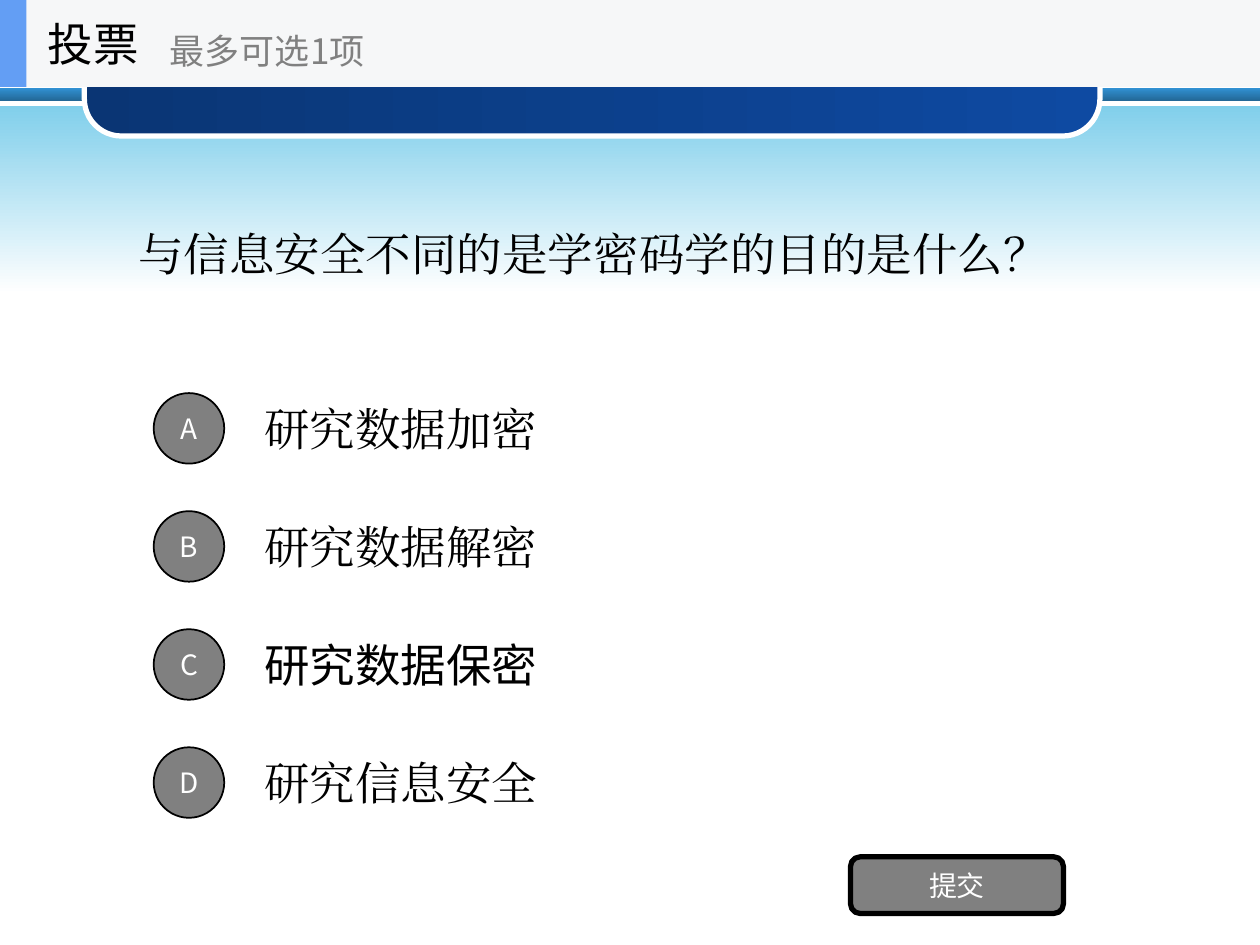
from dataclasses import dataclass
from typing import Optional

from lxml.etree import SubElement
from pptx import Presentation
from pptx.dml.color import RGBColor
from pptx.enum.shapes import MSO_SHAPE
from pptx.enum.text import MSO_ANCHOR, PP_ALIGN
from pptx.oxml.ns import qn
from pptx.util import Inches, Pt

WIDTH, HEIGHT = 10, 7.5
SANS, SERIF = "Noto Sans CJK SC", "Times New Roman"
BLACK, GRAY, WHITE = "000000", "808080", "FFFFFF"
HEADER_HEIGHT = 0.69

# Answer grid: one row per option
FIRST_ROW, ROW_STEP = 3.4, 0.937
BADGE_LEFT, BADGE_SIZE = 1.22, 0.56
ANSWER_LEFT, ANSWER_WIDTH, ANSWER_HEIGHT = 2, 7, 0.7


@dataclass
class Box:
    left: float
    top: float
    width: float
    height: float

    def lengths(self) -> list:
        return [Inches(v) for v in (self.left, self.top, self.width, self.height)]


@dataclass
class Option:
    letter: str
    answer: str
    font: str = SERIF


OPTIONS = [
    Option("A", "研究数据加密"),
    Option("B", "研究数据解密"),
    Option("C", "研究数据保密", SANS),
    Option("D", "研究信息安全"),
]


def color(value: str) -> RGBColor:
    return RGBColor.from_string(value)


def write(shape, text: str, size: float, font: str, ink: str,
          align=PP_ALIGN.LEFT) -> None:
    frame = shape.text_frame
    frame.word_wrap = True
    frame.vertical_anchor = MSO_ANCHOR.MIDDLE
    paragraph = frame.paragraphs[0]
    paragraph.alignment = align
    run = paragraph.add_run()
    run.text = text
    run.font.size = Pt(size)
    run.font.name = font
    run.font.color.rgb = color(ink)
    # Chinese glyphs take the East Asian typeface
    SubElement(run.font._element, qn("a:ea")).set("typeface", font)


def add_text(shapes, box: Box, text: str, size: float, font: str = SANS,
             ink: str = BLACK) -> None:
    write(shapes.add_textbox(*box.lengths()), text, size, font, ink)


def add_panel(shapes, kind, box: Box, fill: str, fill_end: Optional[str] = None,
              angle: float = 0, line: Optional[str] = None,
              line_width: float = 1, corner: Optional[float] = None):
    shape = shapes.add_shape(kind, *box.lengths())
    shape.shadow.inherit = False
    if fill_end:
        shape.fill.gradient()
        shape.fill.gradient_angle = angle
        for stop, position, value in zip(shape.fill.gradient_stops, (0, 1),
                                         (fill, fill_end)):
            stop.position = position
            stop.color.rgb = color(value)
    else:
        shape.fill.solid()
        shape.fill.fore_color.rgb = color(fill)
    if line:
        shape.line.color.rgb = color(line)
        shape.line.width = Pt(line_width)
    else:
        shape.line.fill.background()
    if corner is not None:
        shape.adjustments[0] = corner
    return shape


def add_button(shapes, kind, box: Box, text: str, line_width: float = 1,
               corner: Optional[float] = None) -> None:
    shape = add_panel(shapes, kind, box, GRAY, line=BLACK,
                      line_width=line_width, corner=corner)
    frame = shape.text_frame
    frame.margin_left = frame.margin_right = 0
    write(shape, text, 16, SANS, WHITE, PP_ALIGN.CENTER)


def add_background(shapes) -> None:
    add_panel(shapes, MSO_SHAPE.RECTANGLE, Box(0, 0.7, WIDTH, 0.1),
              "3191D3", "236897", 270)
    add_panel(shapes, MSO_SHAPE.RECTANGLE, Box(0, 0.84, WIDTH, 1.49),
              "81CFEB", WHITE, 270)
    add_panel(shapes, MSO_SHAPE.ROUNDED_RECTANGLE, Box(0.67, 0.38, 8.06, 0.7),
              "0A3574", "0E4AA2", line=WHITE, line_width=3, corner=0.42)


def add_option(shapes, row: int, option: Option) -> None:
    middle = FIRST_ROW + row * ROW_STEP
    add_text(shapes, Box(ANSWER_LEFT, middle - ANSWER_HEIGHT / 2, ANSWER_WIDTH,
                         ANSWER_HEIGHT), option.answer, 26, option.font)
    add_button(shapes, MSO_SHAPE.OVAL,
               Box(BADGE_LEFT, middle - BADGE_SIZE / 2, BADGE_SIZE, BADGE_SIZE),
               option.letter)


def add_header(shapes) -> None:
    group = shapes.add_group_shape().shapes
    add_panel(group, MSO_SHAPE.RECTANGLE, Box(0, 0, WIDTH, HEADER_HEIGHT), "F6F7F8")
    add_panel(group, MSO_SHAPE.RECTANGLE, Box(0, 0, 0.21, HEADER_HEIGHT), "639EF4")
    add_text(group, Box(0.28, 0, 2.08, HEADER_HEIGHT), "投票", 26)
    add_text(shapes, Box(1.25, 0.12, 2.5, 0.56), "最多可选1项", 20, ink=GRAY)


def main() -> None:
    presentation = Presentation()
    presentation.slide_width = Inches(WIDTH)
    presentation.slide_height = Inches(HEIGHT)
    slide = presentation.slides.add_slide(presentation.slide_layouts[6])
    shapes = slide.shapes

    add_background(shapes)

    # Question and answers
    add_text(shapes, Box(1, 1.19, 8, 1.64),
             "与信息安全不同的是学密码学的目的是什么？", 26, SERIF)
    for row, option in enumerate(OPTIONS):
        add_option(shapes, row, option)

    # Submit button and header bar
    add_button(shapes, MSO_SHAPE.ROUNDED_RECTANGLE, Box(6.75, 6.8, 1.69, 0.45),
               "提交", line_width=3, corner=0.17)
    add_header(shapes)

    presentation.save("out.pptx")


if __name__ == "__main__":
    main()
